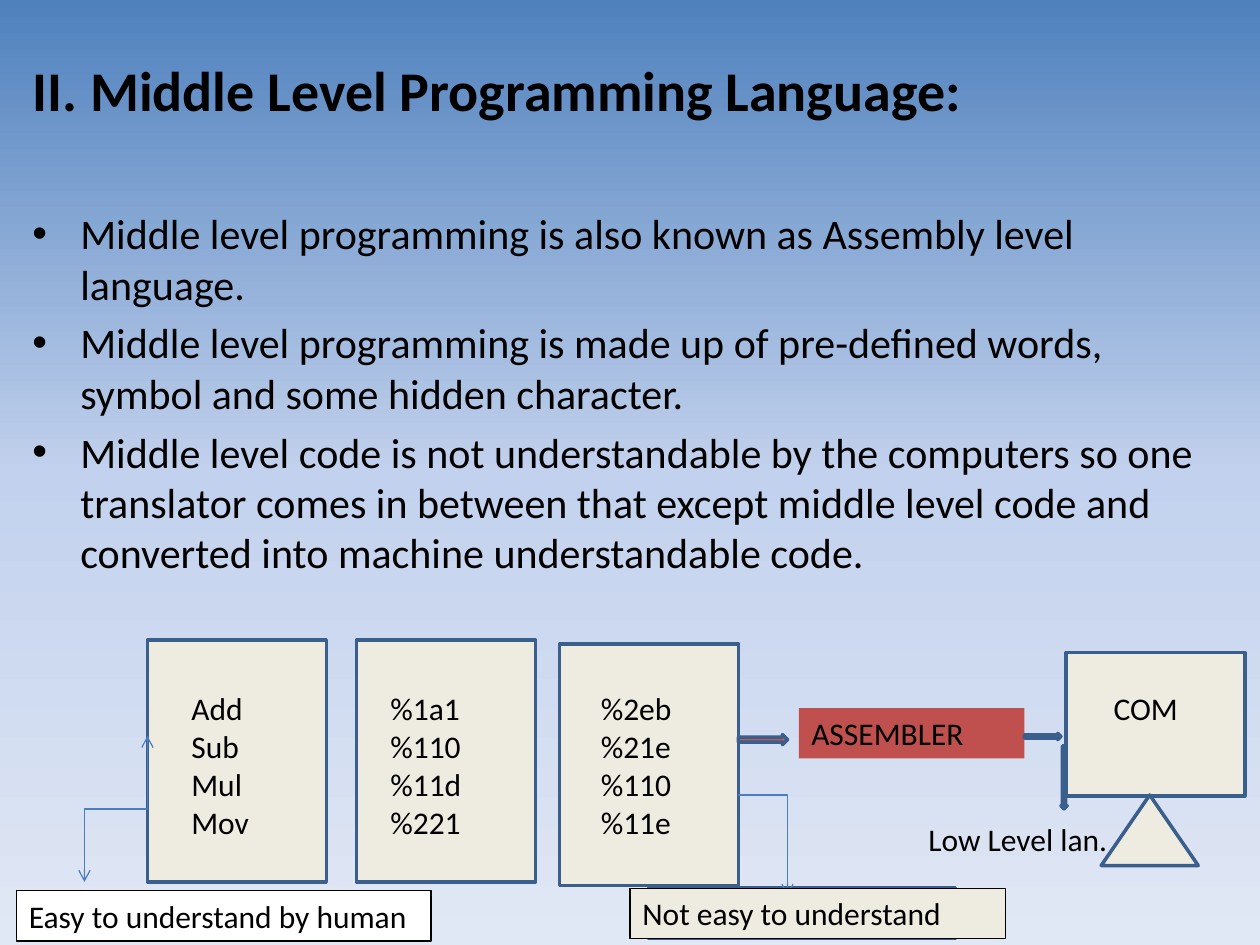
from copy import deepcopy
from dataclasses import dataclass

from lxml.etree import SubElement
from pptx import Presentation
from pptx.dml.color import RGBColor as RGB
from pptx.enum.shapes import MSO_CONNECTOR as Conn, MSO_SHAPE as Geo
from pptx.enum.text import MSO_ANCHOR as Anchor, MSO_AUTO_SIZE as Fit, PP_ALIGN as Align
from pptx.oxml.ns import qn
from pptx.util import Inches, Pt


@dataclass(frozen=True)
class Theme:
    """Colours, font and type sizes of the slide."""
    font: str = "Calibri"
    head: int = 32
    body: int = 24
    label: int = 18
    ink: str = "000000"
    white: str = "FFFFFF"
    blue: str = "4F81BD"
    edge: str = "3A5F8C"
    wire: str = "4B7EBC"
    red: str = "C0504D"
    cream: str = "EEECE1"
    sky: tuple = ((0, "4F81BD"), (0.5, "C2D1ED"), (1, "E1E8F5"))


T = Theme()


def write(frame, text, size, bold=False):
    """Fill a text frame and format its runs."""
    frame.word_wrap = True
    frame.text = text
    frame.vertical_anchor = Anchor.TOP
    for para in frame.paragraphs:
        para.alignment = Align.LEFT
        for run in para.runs:
            font = run.font
            font.name, font.size, font.bold = T.font, Pt(size), bold
            font.color.rgb = RGB.from_string(T.ink)


def label(slide, x, y, w, h, text):
    """Add a plain label that grows with its text."""
    box = slide.shapes.add_textbox(*map(Inches, (x, y, w, h)))
    write(box.text_frame, text, T.label)
    box.text_frame.auto_size = Fit.SHAPE_TO_FIT_TEXT


def block(slide, geo, x, y, w, h, fill, edge=T.edge, width=2, text=None):
    """Add a filled preset shape, outlined if it has an edge colour."""
    shape = slide.shapes.add_shape(geo, *map(Inches, (x, y, w, h)))
    shape.shadow.inherit = False
    shape.fill.solid()
    shape.fill.fore_color.rgb = RGB.from_string(fill)
    if edge:
        shape.line.color.rgb = RGB.from_string(edge)
        shape.line.width = Pt(width)
    else:
        shape.line.fill.background()
    if text:
        write(shape.text_frame, text, T.label)
    return shape


def wire(slide, x, y, w, h, ends, geo="bentConnector3", turn=0):
    """Add a bent connector with open arrowheads at the named ends."""
    line = slide.shapes.add_connector(Conn.ELBOW, *map(Inches, (x, y, x + w, y + h)))
    line.line.color.rgb = RGB.from_string(T.wire)
    line.line.width = Pt(0.75)
    props = line._element.spPr
    props.find(qn("a:xfrm")).set("rot", str(turn * 60000))
    props.find(qn("a:prstGeom")).set("prst", geo)
    for end in ends:
        SubElement(props.find(qn("a:ln")), qn("a:" + end), type="arrow")
    SubElement(props, qn("a:effectLst"))


def backdrop(slide):
    """Paint the vertical three-stop gradient."""
    fill = slide.background.fill
    fill.gradient()
    fill.gradient_angle = 270
    stops = next(slide._element.iter(qn("a:gsLst")))
    stops.append(deepcopy(stops[-1]))
    for stop, (place, color) in zip(fill.gradient_stops, T.sky):
        stop.position = place
        stop.color.rgb = RGB.from_string(color)


def heading(slide, x, y, w, h, text):
    """Place the slide title."""
    title = slide.shapes.title
    title.left, title.top, title.width, title.height = map(Inches, (x, y, w, h))
    write(title.text_frame, text, T.head, True)
    title.text_frame.vertical_anchor = Anchor.MIDDLE


def bullets(slide, x, y, w, h, items):
    """Place the bulleted points."""
    box = slide.shapes.add_textbox(*map(Inches, (x, y, w, h)))
    write(box.text_frame, "\n".join(items), T.body)
    for n, para in enumerate(box.text_frame.paragraphs):
        para.space_before = Pt(T.body * 0.2 if n else 0)
        props = para._p.get_or_add_pPr()
        props.set("marL", str(Inches(0.38)))
        props.set("indent", str(-Inches(0.38)))
        SubElement(props, qn("a:buFont"), typeface="Arial")
        SubElement(props, qn("a:buChar"), char="•")


def card(slide, x, y, inset, top, width, lines):
    """Add a code card with its list of words."""
    block(slide, Geo.RECTANGLE, x, y, 1.42, 1.92, T.cream)
    label(slide, x + inset, top, width, 1.31, "\n".join(lines))


def screen(slide, x, y):
    """Add the computer: screen, stand and name."""
    block(slide, Geo.RECTANGLE, x, y, 1.42, 1.14, T.cream)
    block(slide, Geo.ISOSCELES_TRIANGLE, x + 0.28, y + 1.13, 0.77, 0.56, T.cream)
    label(slide, x + 0.28, y + 0.24, 0.84, 0.4, "COM")


def diagram(slide, x, y):
    """Draw the path from assembly code to the computer."""
    cards = (
        (0, 0, 0.25, 0.92, ("Add", "Sub", "Mul", "Mov")),
        (1.66, 0, 0.17, 1.08, ("%1a1", "%110", "%11d", "%221")),
        (3.27, 0.03, 0.23, 1.08, ("%2eb", "%21e", "%110", "%11e")),
    )
    for dx, dy, inset, width, lines in cards:
        card(slide, x + dx, y + dy, inset, y + 0.34, width, lines)
    feed = block(slide, Geo.RIGHT_ARROW, x + 4.69, y + 0.75, 0.39, 0.08, T.red)
    tint = feed._element.spPr.find(qn("a:solidFill"))[0]
    SubElement(tint, qn("a:alpha"), val="94000")
    block(slide, Geo.RECTANGLE, x + 5.17, y + 0.54, 1.79, 0.4, T.red, None, text="ASSEMBLER")
    block(slide, Geo.RIGHT_ARROW, x + 6.96, y + 0.74, 0.29, 0.05, T.blue)
    screen(slide, x + 7.29, y + 0.1)
    block(slide, Geo.DOWN_ARROW, x + 7.25, y + 0.84, 0.05, 0.5, T.blue)
    label(slide, x + 6.1, y + 1.38, 2, 0.4, "Low Level lan.")
    wire(slide, x - 0.83, y + 1.09, 1.16, 0.5, ("headEnd", "tailEnd"), turn=90)
    wire(slide, x + 4.69, y + 1.23, 0.39, 0.8, ("tailEnd",), "bentConnector2")
    notes = (
        (-1.04, 1.99, 3.29, T.white, "Easy to understand by human"),
        (3.83, 1.97, 2.98, T.cream, "Not easy to understand"),
    )
    for dx, dy, width, fill, text in notes:
        block(slide, Geo.RECTANGLE, x + dx, y + dy, width, 0.4, fill, T.ink, 0.75, text)


def build():
    """Build and save the slide."""
    deck = Presentation()
    deck.slide_width, deck.slide_height = Inches(10), Inches(7.5)
    slide = deck.slides.add_slide(deck.slide_layouts[5])
    backdrop(slide)
    block(slide, Geo.RECTANGLE, 5.15, 7.05, 2.43, 0.4, T.blue)
    heading(slide, 0.16, 0.39, 9.5, 0.64, "II. Middle Level Programming Language:")
    bullets(slide, 0.16, 1.6, 9.5, 3.2, (
        "Middle level programming is also known as Assembly level language.",
        "Middle level programming is made up of pre-defined words, "
        "symbol and some hidden character.",
        "Middle level code is not understandable by the computers so one "
        "translator comes in between that except middle level code and "
        "converted into machine understandable code.",
    ))
    diagram(slide, 1.17, 5.08)
    deck.save("out.pptx")


build()
